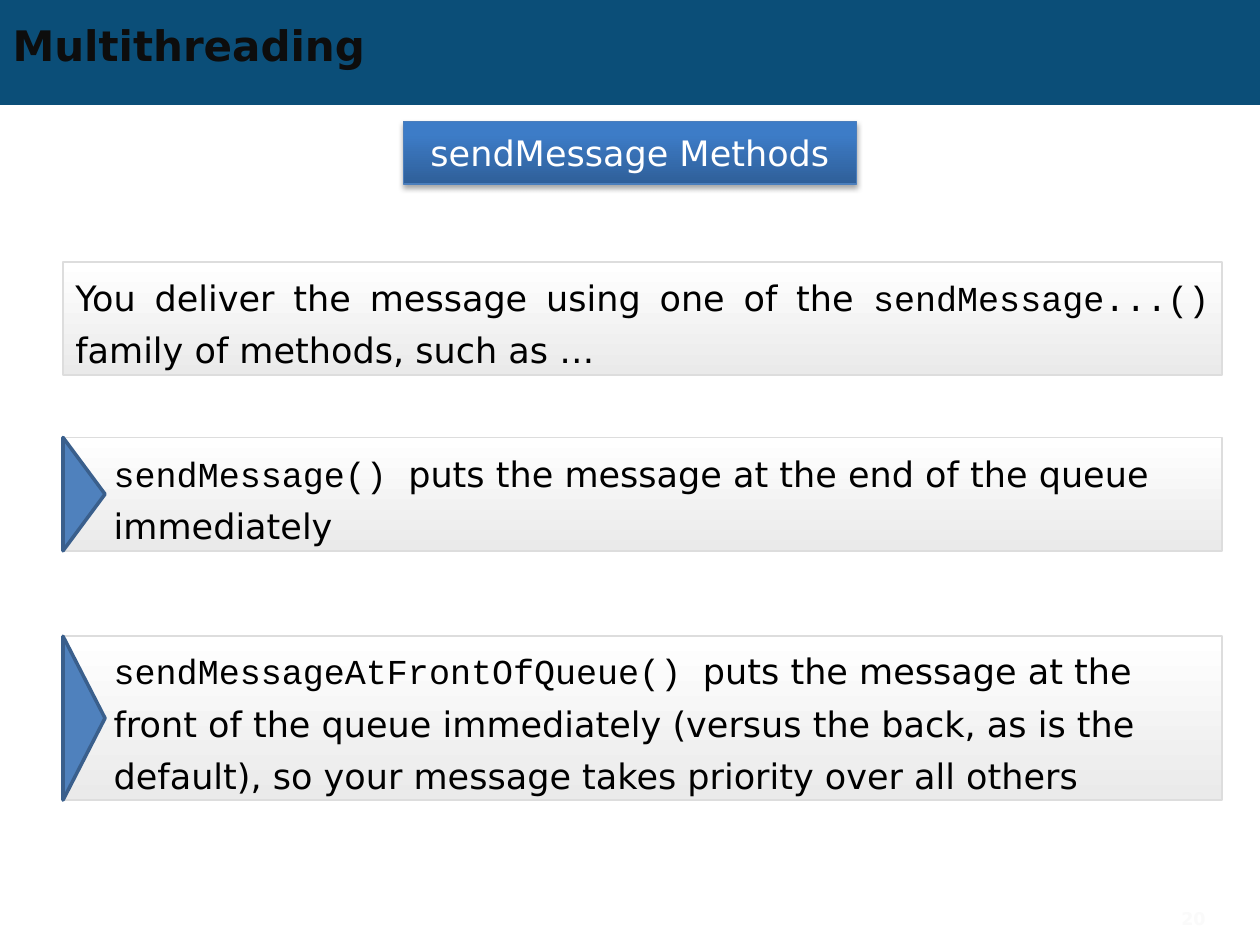
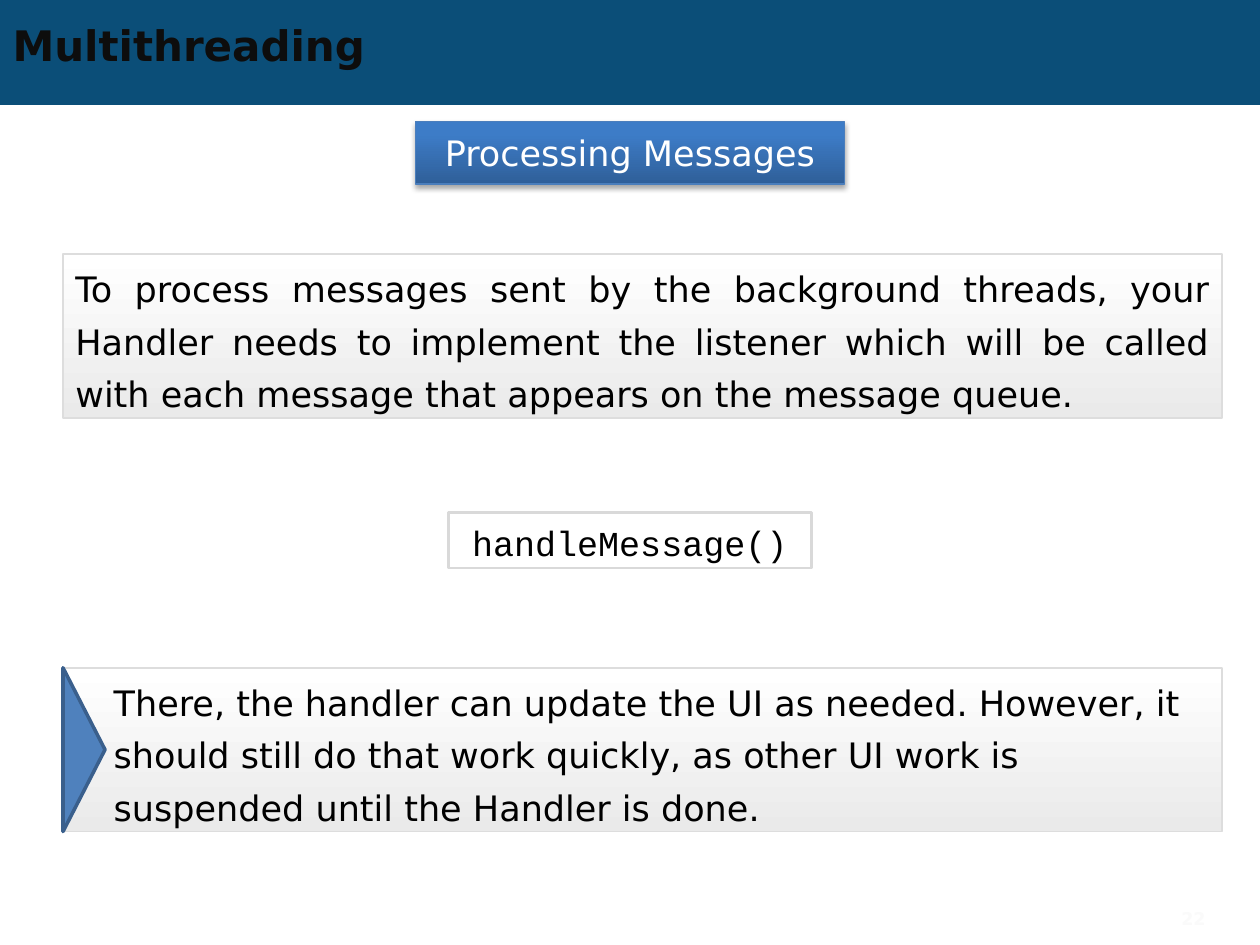
from lxml.etree import SubElement
from pptx import Presentation
from pptx.dml.color import RGBColor
from pptx.enum.shapes import MSO_SHAPE
from pptx.enum.text import MSO_ANCHOR, MSO_AUTO_SIZE, PP_ALIGN
from pptx.oxml.ns import qn
from pptx.util import Pt

BAND_BLUE = RGBColor(0x0B, 0x4E, 0x78)
TITLE_INK = RGBColor(0x0D, 0x0D, 0x0D)
TOPIC_DARK = RGBColor(0x2F, 0x5F, 0x99)
TOPIC_LIGHT = RGBColor(0x3D, 0x7C, 0xC7)
TOPIC_EDGE = RGBColor(0x4B, 0x7E, 0xBC)
PANEL_GREY = RGBColor(0xEA, 0xEA, 0xEA)
PANEL_EDGE = RGBColor(0xDD, 0xDD, 0xDD)
CODE_EDGE = RGBColor(0xD9, 0xD9, 0xD9)
MARKER_BLUE = RGBColor(0x4F, 0x81, 0xBD)
MARKER_EDGE = RGBColor(0x3A, 0x5F, 0x8C)
NUMBER_GREY = RGBColor(0xFA, 0xFA, 0xFA)
WHITE = RGBColor(0xFF, 0xFF, 0xFF)
BLACK = RGBColor(0, 0, 0)

SANS = "DejaVu Sans"
MONO = "Courier New"
SLIDE_WIDTH = 720
PANEL_LEFT, PANEL_WIDTH = 36, 662.4
LINE_PITCH = 30
MARKER_DEPTH = 24


def add_run(paragraph, text, font=SANS, size=20, color=BLACK, bold=False):
    run = paragraph.add_run()
    run.text = text
    run.font.name = font
    run.font.size = Pt(size)
    run.font.color.rgb = color
    run.font.bold = bold


def add_box(shapes, preset, left, top, width, height, edge=None, edge_width=1):
    """Add a shape without shadow or fill, with an optional outline."""
    box = shapes.add_shape(preset, Pt(left), Pt(top), Pt(width), Pt(height))
    box.shadow.inherit = False
    box.fill.background()
    if edge is None:
        box.line.fill.background()
    else:
        box.line.color.rgb = edge
        box.line.width = Pt(edge_width)
    box.text_frame.word_wrap = True
    box.text_frame.vertical_anchor = MSO_ANCHOR.MIDDLE
    return box


def fill_gradient(box, angle, *stops):
    box.fill.gradient()
    box.fill.gradient_angle = angle
    for gradient_stop, (position, color) in zip(box.fill.gradient_stops, stops):
        gradient_stop.position = position
        gradient_stop.color.rgb = color


def add_drop_shadow(box):
    effects = box.element.spPr.find(qn("a:effectLst"))
    shadow = SubElement(effects, qn("a:outerShdw"), blurRad=str(Pt(3.1)),
                        dist=str(Pt(1.8)), dir="5400000", rotWithShape="0")
    color = SubElement(shadow, qn("a:srgbClr"), val="000000")
    SubElement(color, qn("a:alpha"), val="35000")


def add_layout_band(layout, slide):
    """Put the title band on the layout, behind its title."""
    band = add_box(slide.shapes, MSO_SHAPE.RECTANGLE, 0, 0, SLIDE_WIDTH, 60)
    band.fill.solid()
    band.fill.fore_color.rgb = BAND_BLUE
    layout.placeholders[0].element.addprevious(band.element)


def set_title(slide, text):
    title = slide.shapes.title
    title.left, title.top, title.width, title.height = Pt(0), Pt(10), Pt(648), Pt(31)
    frame = title.text_frame
    frame.auto_size = MSO_AUTO_SIZE.NONE
    frame.vertical_anchor = MSO_ANCHOR.MIDDLE
    frame.paragraphs[0].alignment = PP_ALIGN.LEFT
    add_run(frame.paragraphs[0], text, size=24, color=TITLE_INK, bold=True)


def add_topic(slide, text, width):
    topic = add_box(slide.shapes, MSO_SHAPE.RECTANGLE, (SLIDE_WIDTH - width) / 2, 69.6,
                    width, 35.6, TOPIC_EDGE, 0.75)
    fill_gradient(topic, 90, (0, TOPIC_DARK), (0.8, TOPIC_LIGHT))
    add_drop_shadow(topic)
    paragraph = topic.text_frame.paragraphs[0]
    paragraph.alignment = PP_ALIGN.CENTER
    add_run(paragraph, text, color=WHITE)


def add_panel(shapes, top, height, runs, alignment=PP_ALIGN.JUSTIFY):
    panel = add_box(shapes, MSO_SHAPE.RECTANGLE, PANEL_LEFT, top, PANEL_WIDTH, height,
                    PANEL_EDGE)
    fill_gradient(panel, 270, (0, WHITE), (1, PANEL_GREY))
    paragraph = panel.text_frame.paragraphs[0]
    paragraph.alignment = alignment
    paragraph.line_spacing = Pt(LINE_PITCH)
    for text, font in runs:
        add_run(paragraph, text, font)
    return panel


def add_marked_panel(slide, top, height, runs):
    """Group a left-aligned panel with the triangle that points into it."""
    group = slide.shapes.add_group_shape()
    panel = add_panel(group.shapes, top, height, runs, PP_ALIGN.LEFT)
    frame = panel.text_frame
    frame.margin_left = Pt(29)
    frame.margin_top = frame.margin_bottom = 0
    marker = add_box(group.shapes, MSO_SHAPE.ISOSCELES_TRIANGLE,
                     PANEL_LEFT + (MARKER_DEPTH - height) / 2,
                     top + (height - MARKER_DEPTH) / 2,
                     height, MARKER_DEPTH, MARKER_EDGE, 2)
    marker.rotation = 90
    marker.fill.solid()
    marker.fill.fore_color.rgb = MARKER_BLUE


def add_code_label(slide, text, top, width):
    label = add_box(slide.shapes, MSO_SHAPE.RECTANGLE, (SLIDE_WIDTH - width) / 2, top,
                    width, 31.6, CODE_EDGE, 1.5)
    label.text_frame.margin_top = Pt(6)
    paragraph = label.text_frame.paragraphs[0]
    paragraph.alignment = PP_ALIGN.CENTER
    add_run(paragraph, text, MONO)


def add_page_number(slide, number):
    corner = slide.shapes.add_textbox(Pt(640), Pt(515), Pt(56), Pt(20))
    frame = corner.text_frame
    frame.word_wrap = True
    frame.vertical_anchor = MSO_ANCHOR.MIDDLE
    frame.paragraphs[0].alignment = PP_ALIGN.RIGHT
    add_run(frame.paragraphs[0], str(number), size=10, color=NUMBER_GREY, bold=True)


def start_slide(deck, layout, topic, topic_width, number):
    slide = deck.slides.add_slide(layout)
    set_title(slide, "Multithreading")
    add_topic(slide, topic, topic_width)
    add_page_number(slide, number)
    return slide


def main():
    deck = Presentation()
    deck.slide_width, deck.slide_height = Pt(SLIDE_WIDTH), Pt(540)
    layout = deck.slide_layouts[5]
    two_lines, three_lines = 64.8, 93.6

    sending = start_slide(deck, layout, "sendMessage Methods", 259.2, 20)
    add_layout_band(layout, sending)
    add_panel(sending.shapes, 149.6, two_lines, [
        ("You deliver the message using one of the ", SANS),
        ("sendMessage...() ", MONO),
        ("family of methods, such as …", SANS)])
    add_marked_panel(sending, 363.6, three_lines, [
        ("sendMessageAtFrontOfQueue() ", MONO),
        ("puts the message at the front of the queue immediately (versus the back, "
         "as is the default), so your message takes priority over all others", SANS)])
    add_marked_panel(sending, 250, two_lines, [
        ("sendMessage() ", MONO),
        ("puts the message at the end of the queue immediately", SANS)])

    processing = start_slide(deck, layout, "Processing Messages", 245, 22)
    add_panel(processing.shapes, 145.2, three_lines, [
        ("To process messages sent by the background threads, your Handler needs to "
         "implement the listener which will be called with each message that appears "
         "on the message queue.", SANS)])
    add_marked_panel(processing, 381.6, three_lines, [
        ("There, the handler can update the UI as needed. However, it should still do "
         "that work quickly, as other UI work is suspended until the Handler is done.",
         SANS)])
    add_code_label(processing, "handleMessage()", 293, 207.6)

    deck.save("out.pptx")


if __name__ == "__main__":
    main()
